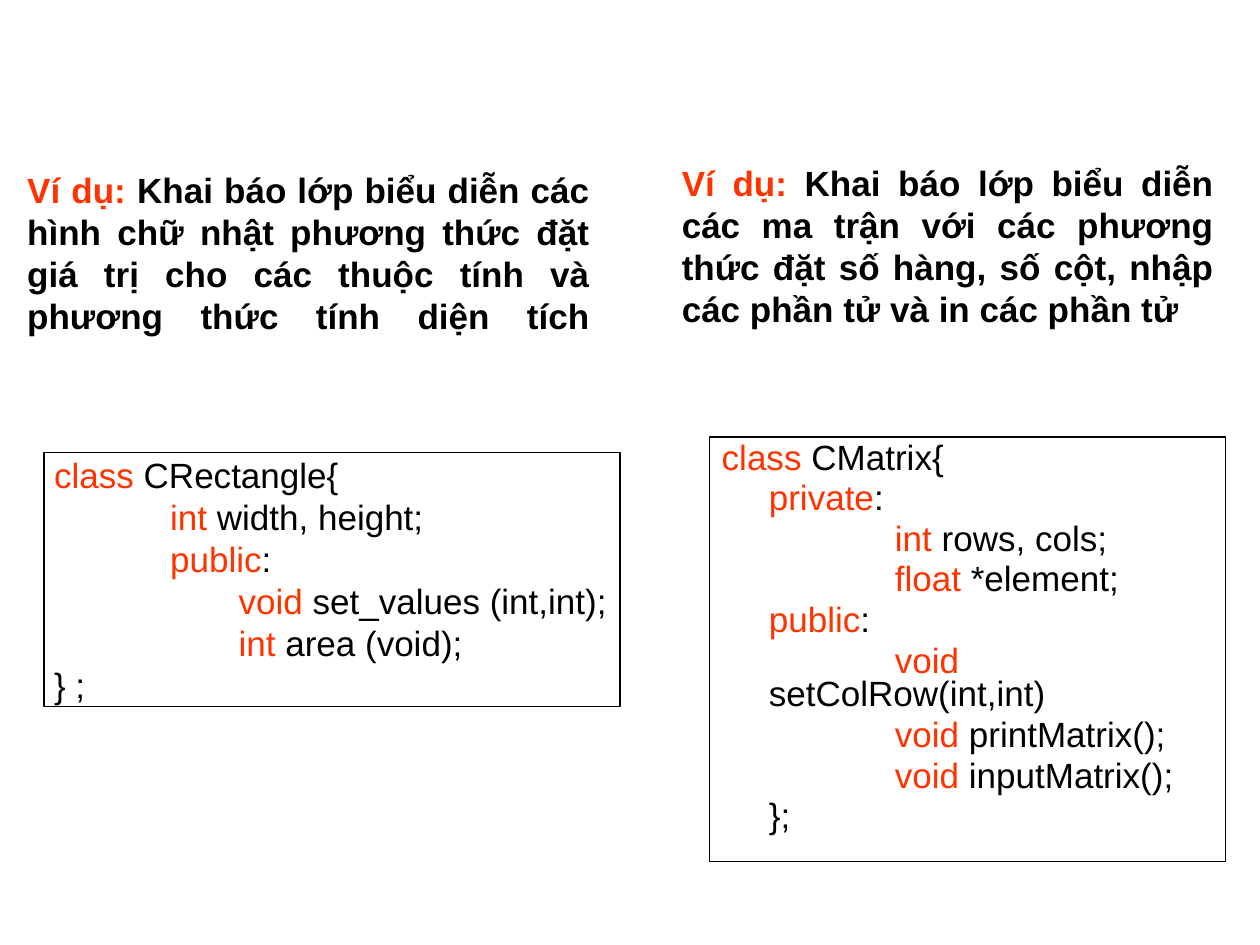
from pptx import Presentation
from pptx.dml.color import RGBColor
from pptx.enum.shapes import MSO_SHAPE
from pptx.enum.text import MSO_ANCHOR, MSO_AUTO_SIZE, PP_ALIGN
from pptx.util import Cm, Pt

RED = RGBColor(0xFF, 0x33, 0x00)
BLACK = RGBColor(0, 0, 0)
RECT = MSO_SHAPE.RECTANGLE
TOP, MIDDLE = MSO_ANCHOR.TOP, MSO_ANCHOR.MIDDLE
LEFT, JUSTIFY = PP_ALIGN.LEFT, PP_ALIGN.JUSTIFY
NO_FIT = MSO_AUTO_SIZE.NONE

# Content: a heading is (red, black); a code line is (level, red, black)
MATRIX_HEADING = ("Ví dụ: ", "Khai báo lớp biểu diễn các ma trận với các phương thức "
                  "đặt số hàng, số cột, nhập các phần tử và in các phần tử")
RECTANGLE_HEADING = ("Ví dụ: ", "Khai báo lớp biểu diễn các hình chữ nhật phương thức đặt "
                     "giá trị cho các thuộc tính và phương thức tính diện tích\v")
MATRIX_CODE = [
    (0, "class ", "CMatrix{"),
    (1, "private", ":"),
    (2, "int", " rows, cols;"),
    (2, "float", " *element;"),
    (1, "public", ":"),
    (2, "void ", "setColRow(int,int)"),
    (2, "void ", "printMatrix();"),
    (2, "void ", "inputMatrix();"),
    (1, "", "};"),
]
RECTANGLE_CODE = [
    (0, "class ", "CRectangle{"),
    (1, "int", " width, height;"),
    (1, "public", ":"),
    (2, "void ", "set_values (int,int);"),
    (2, "int", " area (void);"),
    (0, "", "} ;"),
]

# Start of the first line and of wrapped lines, by level
MATRIX_INDENTS = [(Cm(0), Cm(0.95)), (Cm(0.95), Cm(0.95)), (Cm(3.49), Cm(0.95))]
RECTANGLE_INDENTS = [(Cm(x), Cm(x)) for x in (0.2, 2.54, 3.92)]


def place(sp, left, top, width, height):
    sp.left, sp.top, sp.width, sp.height = Cm(left), Cm(top), Cm(width), Cm(height)


def add_runs(p, red, black, bold=False):
    for text, color in ((red, RED), (black, BLACK)):
        if text:
            body, *rest = text.split("\v")
            r = p.add_run()
            r.text = body
            r.font.name, r.font.size, r.font.bold = "Arial", Pt(20), bold
            r.font.color.rgb = color
            if rest:
                p.add_line_break()
    p.font.size = Pt(20)


def fill_heading(sp, heading):
    tf = sp.text_frame
    tf.word_wrap, tf.auto_size, tf.vertical_anchor = True, NO_FIT, MIDDLE
    p = tf.paragraphs[0]
    p.alignment = JUSTIFY
    p.line_spacing = 1.0
    add_runs(p, *heading, bold=True)


def add_code_box(s, box, lines, indents, anchor, margins=None, spacing=1.0, before=0):
    sp = s.shapes.add_shape(RECT, *map(Cm, box))
    sp.shadow.inherit = False
    sp.fill.background()
    sp.line.color.rgb, sp.line.width = BLACK, Pt(0.75)
    tf = sp.text_frame
    tf.word_wrap, tf.vertical_anchor = True, anchor
    if margins is not None:
        tf.margin_left = tf.margin_right = tf.margin_top = tf.margin_bottom = margins
    for i, (level, red, black) in enumerate(lines):
        p = tf.add_paragraph() if i else tf.paragraphs[0]
        p.alignment, p.line_spacing, p.space_before = LEFT, spacing, Pt(before)
        first, wrapped = indents[level]
        pPr = p._p.get_or_add_pPr()
        pPr.set("marL", str(wrapped))
        pPr.set("indent", str(first - wrapped))
        add_runs(p, red, black)


prs = Presentation()
prs.slide_width, prs.slide_height = Cm(25.4), Cm(19.05)
s = prs.slides.add_slide(prs.slide_layouts[5])

# Right column: matrix class
title = s.shapes.title
place(title, 13.49, 3.35, 11.23, 3.18)
fill_heading(title, MATRIX_HEADING)
add_code_box(s, (14.3, 8.81, 10.41, 8.56), MATRIX_CODE, MATRIX_INDENTS, TOP,
             spacing=0.8, before=4)

# Left column: rectangle class
add_code_box(s, (0.89, 9.12, 11.61, 5.13), RECTANGLE_CODE, RECTANGLE_INDENTS, MIDDLE,
             margins=Cm(0))
heading = s.shapes.add_textbox(Cm(0.3), Cm(2.72), Cm(11.84), Cm(5.59))
fill_heading(heading, RECTANGLE_HEADING)

prs.save("out.pptx")
